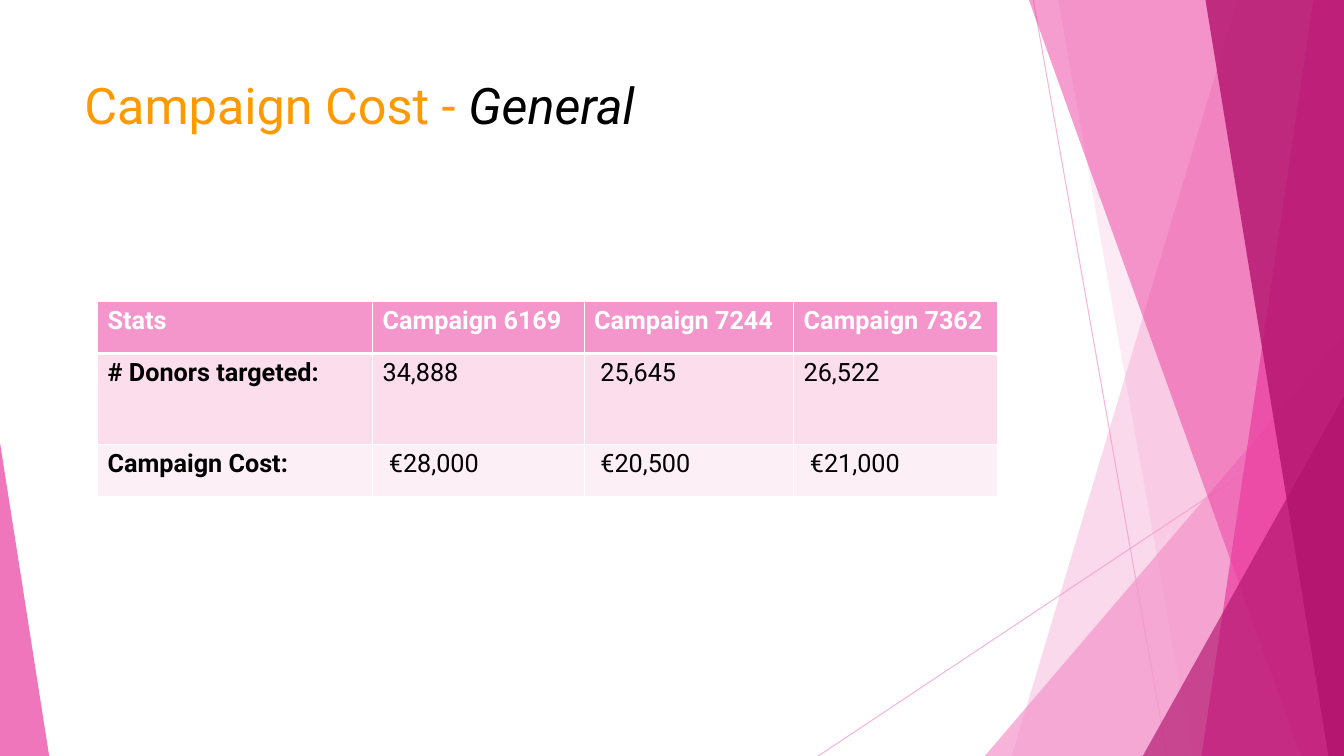
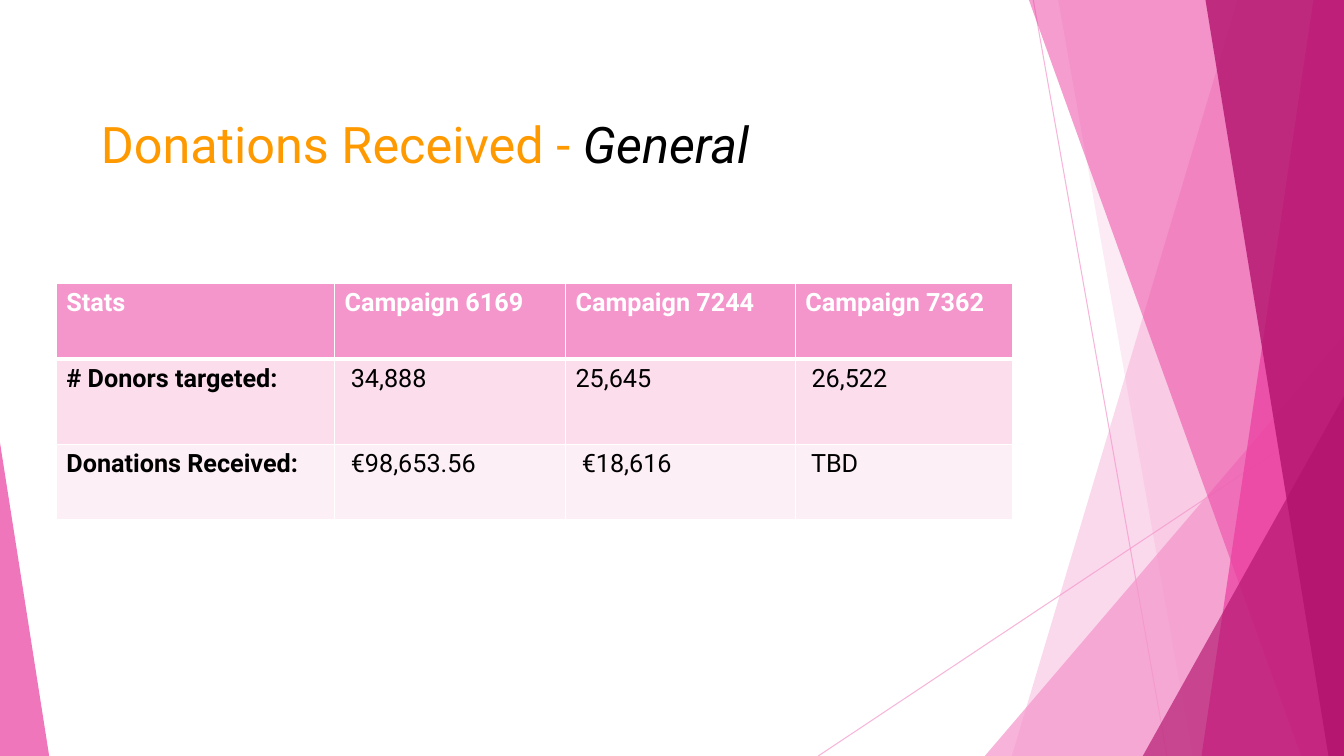
from lxml import etree
from pptx import Presentation
from pptx.dml.color import RGBColor
from pptx.enum.shapes import MSO_CONNECTOR, MSO_SHAPE
from pptx.enum.text import MSO_ANCHOR
from pptx.oxml.ns import qn
from pptx.util import Cm, Pt

W, H = 33.87, 19.05
FONT = "Roboto"
COLORS = {
    "white": "FFFFFF",
    "black": "000000",
    "orange": "FF9900",
    "light": "F496CB",
    "pink": "EB3D9F",
    "deep": "B2136D",
    "row_dark": "FBDDEC",
    "row_pale": "FDEFF6",
}

# Ray lines: start x, start y, end x, end y
RAYS = [(26.04, 0, 29.41, H), (W, 10.24, 20.62, H)]

# Facets reaching the right edge, back to front.
# band: x at top, x at bottom; triangle: left, top, width, apex position
FACETS = [
    ("band", (31.19, 25.5), "light", 36),
    ("band", (26.67, 30.05), "light", 20),
    ("triangle", (24.82, 8.46, W - 24.82, 1), "light", 72),
    ("band", (25.93, 32.79), "pink", 50),
    ("band", (33.1, 30.28), "pink", 70),
    ("band", (30.38, 33.48), "deep", 80),
    ("triangle", (28.8, 9.98, W - 28.8, 1), "deep", 66),
    ("triangle", (0, 11.15, 1.24, 0), "pink", 70),
]

HEADER = ["Stats", "Campaign 6169", "Campaign 7244", "Campaign 7362"]
SLIDES = [
    {
        "title": "Campaign Cost - ",
        "title_at": (1.88, 1.7),
        "table_at": (2.46, 7.59),
        "cols": [6.93, 5.33, 5.28, 5.13],
        "rows": [1.32, 2.29, 1.32],
        "cells": [
            HEADER,
            ["# Donors targeted:", "34,888", " 25,645", "26,522"],
            ["Campaign Cost:", " €28,000", " €20,500", " €21,000"],
        ],
    },
    {
        "title": "Donations Received - ",
        "title_at": (2.29, 2.67),
        "table_at": (1.42, 7.14),
        "cols": [7.01, 5.82, 5.79, 5.49],
        "rows": [1.9, 2.16, 1.9],
        "cells": [
            HEADER,
            ["# Donors targeted:", " 34,888", "25,645", " 26,522"],
            ["Donations Received:", " €98,653.56", " €18,616", " TBD"],
        ],
    },
]


def rgb(name):
    return RGBColor.from_string(COLORS[name])


def add_run(p, text, size=18, color="black", bold=False, italic=False):
    r = p.add_run()
    r.text = text
    r.font.name = FONT
    r.font.size = Pt(size)
    r.font.bold = bold
    r.font.italic = italic
    r.font.color.rgb = rgb(color)


def set_opacity(sp, percent):
    color = sp._element.spPr.find(".//" + qn("a:srgbClr"))
    etree.SubElement(color, qn("a:alpha"), val=str(percent * 1000))


def add_ray(s, x1, y1, x2, y2):
    line = s.shapes.add_connector(
        MSO_CONNECTOR.STRAIGHT, Cm(x1), Cm(y1), Cm(x2), Cm(y2))
    line.line.color.rgb = rgb("light")
    line.line.width = Pt(0.75)
    set_opacity(line, 70)
    etree.SubElement(line._element.spPr, qn("a:effectLst"))


def add_band(s, top_x, bottom_x):
    """Full-height quadrilateral from a slanted left side to the slide edge."""
    outline = s.shapes.build_freeform(Cm(top_x), 0)
    outline.add_line_segments(
        [(Cm(W), 0), (Cm(W), Cm(H)), (Cm(bottom_x), Cm(H))], close=True)
    return outline.convert_to_shape()


def add_triangle(s, left, top, width, apex):
    """Triangle standing on the bottom edge of the slide."""
    sp = s.shapes.add_shape(
        MSO_SHAPE.ISOSCELES_TRIANGLE, Cm(left), Cm(top), Cm(width), Cm(H - top))
    sp.adjustments[0] = apex
    return sp


def add_backdrop(s):
    for ray in RAYS:
        add_ray(s, *ray)
    builders = {"band": add_band, "triangle": add_triangle}
    for kind, place, color, opacity in FACETS:
        sp = builders[kind](s, *place)
        sp.shadow.inherit = False
        sp.fill.solid()
        sp.fill.fore_color.rgb = rgb(color)
        sp.line.fill.background()
        set_opacity(sp, opacity)


def add_title(s, text, left, top):
    tf = s.shapes.add_textbox(Cm(left), Cm(top), Cm(23.88), Cm(1.88)).text_frame
    tf.word_wrap = True
    tf.vertical_anchor = MSO_ANCHOR.MIDDLE
    p = tf.paragraphs[0]
    add_run(p, text, size=36, color="orange")
    add_run(p, "General", size=36, italic=True)


def set_borders(cell, top, bottom):
    tc_pr = cell._tc.get_or_add_tcPr()
    widths = {"L": 1, "R": 1, "T": top, "B": bottom}
    for i, (side, width) in enumerate(widths.items()):
        ln = etree.Element(qn("a:ln" + side), w=str(Pt(width)))
        fill = etree.SubElement(ln, qn("a:solidFill"))
        etree.SubElement(fill, qn("a:srgbClr"), val=COLORS["white"])
        tc_pr.insert(i, ln)


def add_stats_table(s, left, top, cols, rows, cells):
    table = s.shapes.add_table(
        len(rows), len(cols), Cm(left), Cm(top), Cm(sum(cols)), Cm(sum(rows))).table
    table.first_row = table.horz_banding = False
    for column, width in zip(table.columns, cols):
        column.width = Cm(width)
    fills = ["light", "row_dark", "row_pale"]
    for i, texts in enumerate(cells):
        table.rows[i].height = Cm(rows[i])
        for j, text in enumerate(texts):
            cell = table.cell(i, j)
            cell.fill.solid()
            cell.fill.fore_color.rgb = rgb(fills[i])
            set_borders(cell, top=3 if i == 1 else 1, bottom=3 if i == 0 else 1)
            add_run(cell.text_frame.paragraphs[0], text,
                    color="white" if i == 0 else "black", bold=i == 0 or j == 0)


def main():
    prs = Presentation()
    prs.slide_width, prs.slide_height = Cm(W), Cm(H)
    for content in SLIDES:
        s = prs.slides.add_slide(prs.slide_layouts[6])
        add_backdrop(s)
        add_title(s, content["title"], *content["title_at"])
        add_stats_table(s, *content["table_at"], content["cols"],
                        content["rows"], content["cells"])
    prs.save("out.pptx")


if __name__ == "__main__":
    main()
